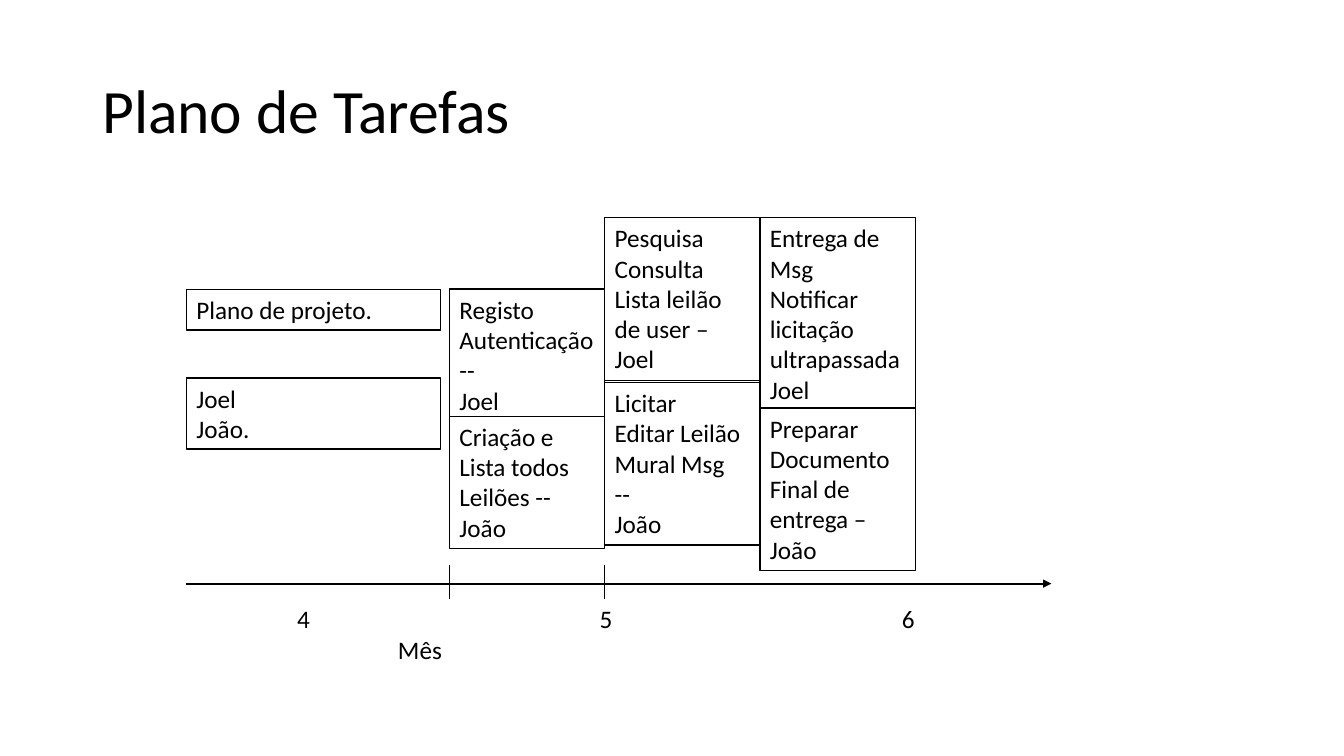
from dataclasses import dataclass

from lxml.etree import SubElement
from pptx import Presentation
from pptx.dml.color import RGBColor
from pptx.enum.shapes import MSO_CONNECTOR, MSO_SHAPE
from pptx.enum.text import MSO_ANCHOR, MSO_AUTO_SIZE, PP_ALIGN
from pptx.oxml.ns import qn
from pptx.util import Pt


@dataclass(frozen=True)
class Theme:
    """Colours, font and sizes of the slide."""
    ink: RGBColor = RGBColor(0, 0, 0)
    paper: RGBColor = RGBColor(255, 255, 255)
    font: str = "Calibri"
    title: float = 44
    body: float = 18
    row: float = 21.8
    padding: float = 7.25
    border: float = 1
    axis: float = 1.5
    tick: float = 0.5


T = Theme()


def write(tf, lines, size):
    """Fill a text frame with left-aligned paragraphs."""
    tf.word_wrap = True
    tf.text = "\n".join(lines)
    for p in tf.paragraphs:
        p.alignment = PP_ALIGN.LEFT
        for r in p.runs:
            r.font.size = Pt(size)
            r.font.name = T.font
            r.font.color.rgb = T.ink


def add_text(s, box, lines, size):
    """Add a text box and return its text frame."""
    tf = s.shapes.add_textbox(*map(Pt, box)).text_frame
    write(tf, lines, size)
    return tf


def add_line(s, x1, y1, x2, y2, width):
    """Add a plain straight connector."""
    c = s.shapes.add_connector(MSO_CONNECTOR.STRAIGHT, *map(Pt, (x1, y1, x2, y2)))
    c.line.color.rgb = T.ink
    c.line.width = Pt(width)
    SubElement(c._element.spPr, qn("a:effectLst"))
    return c


def add_title(s, box, title):
    """Add the slide title."""
    tf = add_text(s, box, [title], T.title)
    tf.vertical_anchor = MSO_ANCHOR.MIDDLE
    tf.paragraphs[0].line_spacing = 0.9


def add_timeline(s, box, ticks, months, unit, unit_indent):
    """Add the month axis with its ticks, month numbers and unit."""
    x, y, w, h = box
    tick_h = 23.8
    axis_y = y + 13
    axis = add_line(s, x, axis_y, x + w, axis_y, T.axis)
    SubElement(axis.line._get_or_add_ln(), qn("a:tailEnd"), type="triangle")
    for dx in ticks:
        add_line(s, x + dx, y, x + dx, y + tick_h, T.tick)
    labels = "".join(f"\t{month}" for month in months)
    tf = add_text(s, (x, y + tick_h, w, h - tick_h), [labels, unit], T.body)
    month_p, unit_p = tf.paragraphs
    tabs = SubElement(month_p._p.get_or_add_pPr(), qn("a:tabLst"))
    for pos in months.values():
        SubElement(tabs, qn("a:tab"), pos=str(Pt(pos)), algn="l")
    unit_p._p.get_or_add_pPr().set("marL", str(Pt(unit_indent)))


def add_tasks(s, box, tasks):
    """Add a column of task cards at their offsets from the box top."""
    x, y, w = box
    for dy, rows, lines in tasks:
        height = T.padding + rows * T.row
        sp = s.shapes.add_shape(MSO_SHAPE.RECTANGLE, *map(Pt, (x, y + dy, w, height)))
        sp.shadow.inherit = False
        sp.fill.solid()
        sp.fill.fore_color.rgb = T.paper
        sp.line.color.rgb = T.ink
        sp.line.width = Pt(T.border)
        tf = sp.text_frame
        write(tf, lines, T.body)
        tf.vertical_anchor = MSO_ANCHOR.TOP
        tf.auto_size = MSO_AUTO_SIZE.SHAPE_TO_FIT_TEXT


def build_plan(prs):
    """Build the task plan slide."""
    s = prs.slides.add_slide(prs.slide_layouts[6])
    left, first, step = 133.2, 321.1, 110.9
    add_title(s, (66, 28.8, 828, 104.4), "Plano de Tarefas")
    add_timeline(s, (left, 403.9, 617.8, 74.9), (first - left, first - left + step),
                 {"4": 72, "5": 288, "6": 504}, "Mês", 144)
    add_tasks(s, (left, 206.6, 181.4), [
        (0, 1, ["Plano de projeto."]),
        (63.4, 2, ["Joel", "João."]),
    ])
    columns = [
        (206.6, [
            (0, 4, ["Registo", "Autenticação", "--", "Joel"]),
            (90.8, 4, ["Criação e Lista todos Leilões --", "João"]),
        ]),
        (155.5, [
            (0, 5, ["Pesquisa", "Consulta", "Lista leilão de user –", "Joel"]),
            (117.7, 5, ["Licitar", "Editar Leilão", "Mural Msg", "--", "João"]),
        ]),
        (155.5, [
            (0, 6, ["Entrega de Msg", "Notificar licitação ultrapassada", "Joel"]),
            (136, 5, ["Preparar Documento Final de entrega –", "João"]),
        ]),
    ]
    for i, (top, tasks) in enumerate(columns):
        add_tasks(s, (first + i * step, top, step), tasks)


prs = Presentation()
prs.slide_width, prs.slide_height = Pt(960), Pt(540)
build_plan(prs)
prs.save("out.pptx")
